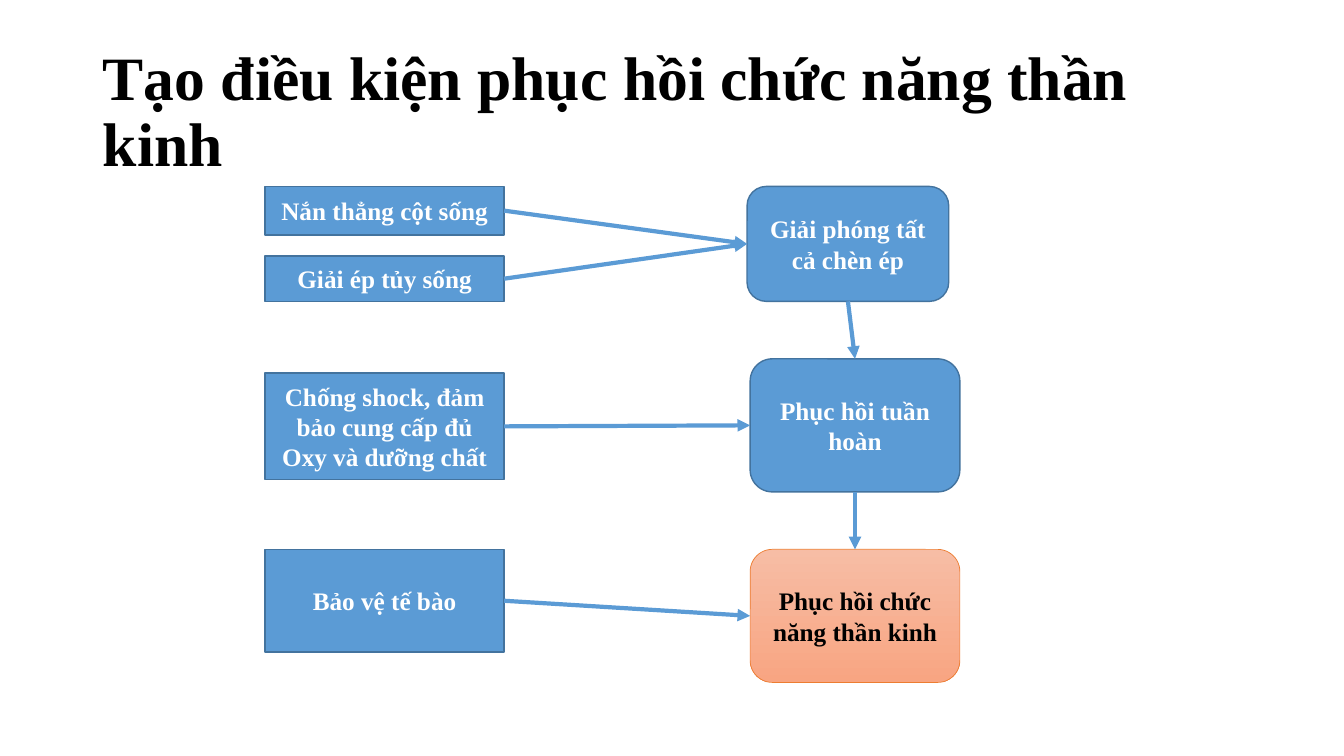
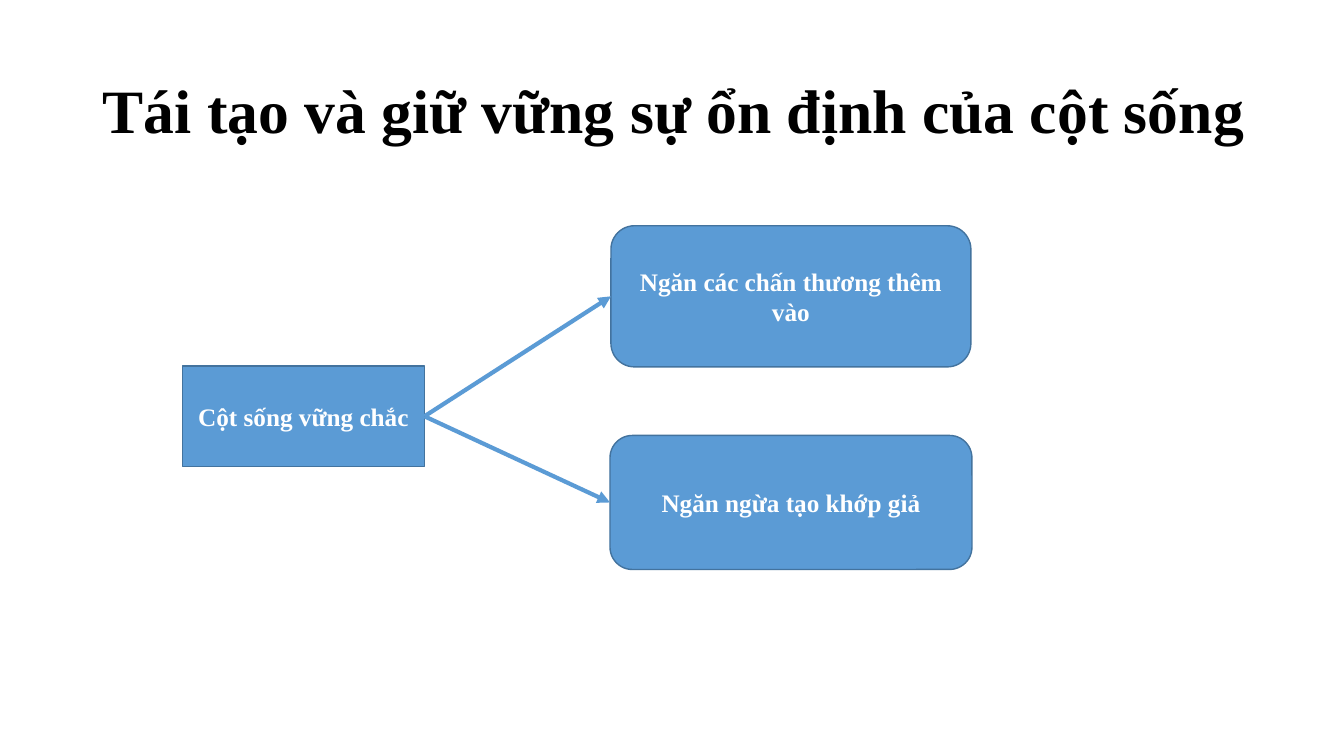
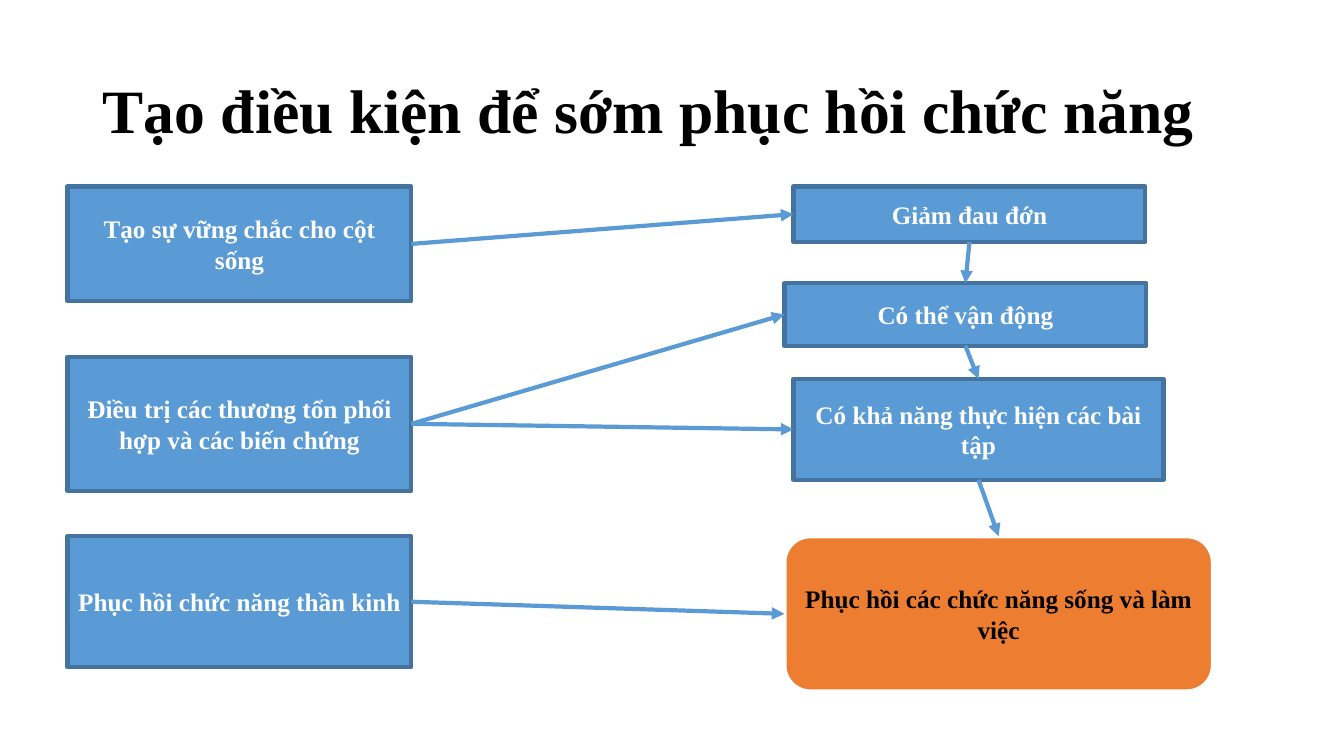
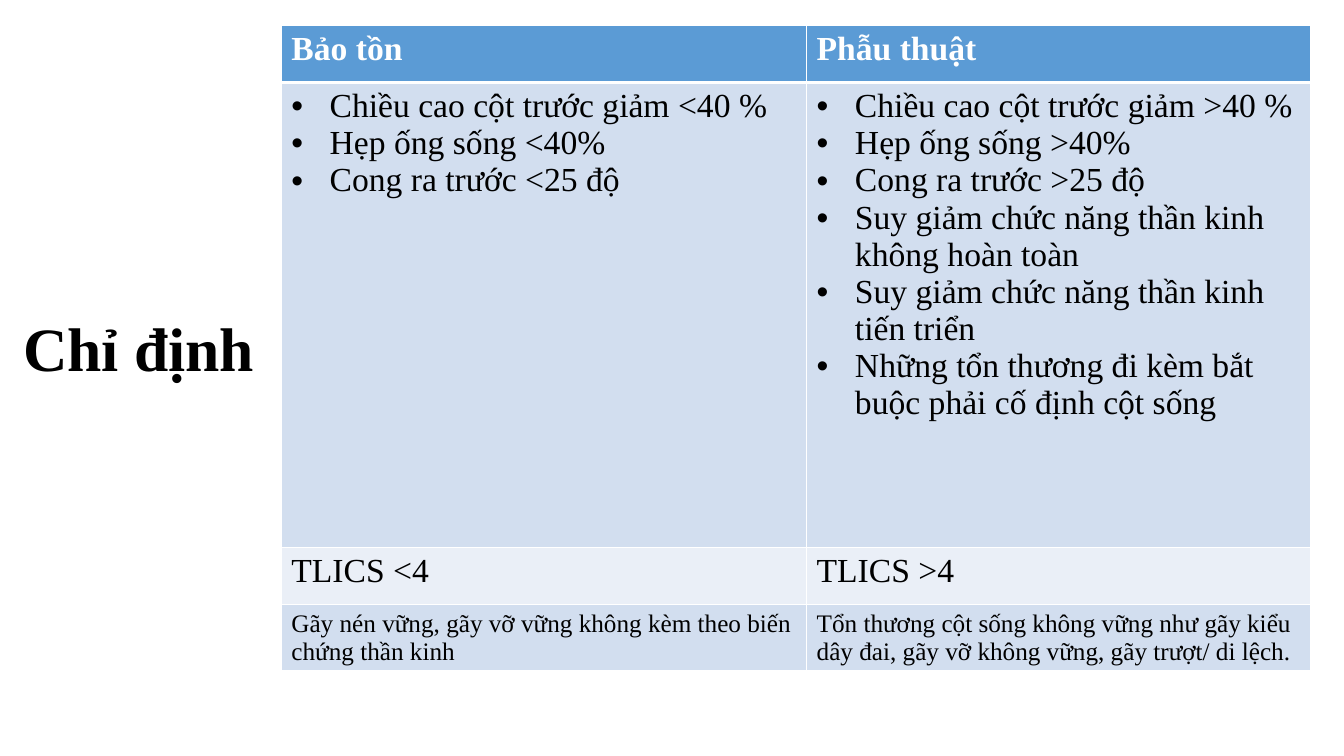
from dataclasses import dataclass
from typing import Any, NamedTuple

from lxml import etree
from pptx import Presentation
from pptx.dml.color import RGBColor
from pptx.enum.shapes import MSO_CONNECTOR, MSO_SHAPE
from pptx.enum.text import MSO_ANCHOR, MSO_AUTO_SIZE, PP_ALIGN
from pptx.oxml.ns import qn
from pptx.util import Inches, Pt

RECTANGLE = MSO_SHAPE.RECTANGLE
ROUNDED = MSO_SHAPE.ROUNDED_RECTANGLE
STRAIGHT = MSO_CONNECTOR.STRAIGHT
MIDDLE = MSO_ANCHOR.MIDDLE
NO_AUTOFIT = MSO_AUTO_SIZE.NONE
LEFT, CENTER = PP_ALIGN.LEFT, PP_ALIGN.CENTER
TOP_SIDE, LEFT_SIDE, BOTTOM_SIDE, RIGHT_SIDE = range(4)
TITLE_ONLY_LAYOUT = 5


@dataclass(frozen=True)
class Theme:
    font: str = "Times New Roman"
    white: str = "FFFFFF"
    black: str = "000000"
    blue: str = "5B9BD5"
    dark_blue: str = "43739E"
    orange: str = "ED7D31"
    peach: tuple[str, str] = ("F7BDA5", "F8A582")
    band_dark: str = "D2DEEF"
    band_light: str = "EAEFF7"
    title_size: int = 44
    table_size: int = 24
    text_size: int = 18
    arrow_width: int = 3


THEME = Theme()


class Area(NamedTuple):
    left: float
    top: float
    width: float
    height: float

    def lengths(self) -> list[int]:
        return [Inches(value) for value in self]


class BoxStyle(NamedTuple):
    fill: str | tuple[str, str]
    line: str
    line_width: float
    text: str


class Box(NamedTuple):
    text: str
    area: Area
    style: BoxStyle
    kind: Any = RECTANGLE


class Arrow(NamedTuple):
    start: str
    end: str
    start_side: int = RIGHT_SIDE
    end_side: int = LEFT_SIDE


class Diagram(NamedTuple):
    title: str
    title_area: Area
    boxes: dict[str, Box]
    arrows: list[Arrow]


class TableRow(NamedTuple):
    height: float
    fill: str
    cells: list[list[str]]
    size: int = THEME.table_size
    color: str = THEME.black
    bold: bool = False
    bulleted: bool = False
    top_border: int = 1
    bottom_border: int = 1


BLUE_THIN = BoxStyle(THEME.blue, THEME.dark_blue, 1, THEME.white)
BLUE_THICK = BLUE_THIN._replace(line_width=3)
PEACH = BoxStyle(THEME.peach, THEME.orange, 0.5, THEME.black)
ORANGE = BoxStyle(THEME.orange, THEME.white, 3, THEME.black)
TITLE_AREA = Area(0.92, 0.4, 11.5, 1.45)


def downward(*names: str) -> list[Arrow]:
    """Chain the named boxes from top to bottom."""
    return [Arrow(start, end, BOTTOM_SIDE, TOP_SIDE) for start, end in zip(names, names[1:])]


DIAGRAMS = [
    Diagram(
        "Tạo điều kiện phục hồi chức năng thần kinh",
        TITLE_AREA,
        {
            "release": Box("Giải phóng tất cả chèn ép", Area(7.41, 1.85, 2, 1.14), BLUE_THIN, ROUNDED),
            "circulation": Box("Phục hồi tuần hoàn", Area(7.44, 3.56, 2.08, 1.32), BLUE_THIN, ROUNDED),
            "nerves": Box("Phục hồi chức năng thần kinh", Area(7.44, 5.45, 2.08, 1.32), PEACH, ROUNDED),
            "straighten": Box("Nắn thẳng cột sống", Area(2.63, 1.85, 2.37, 0.48), BLUE_THIN),
            "decompress": Box("Giải ép tủy sống", Area(2.63, 2.54, 2.37, 0.45), BLUE_THIN),
            "supply": Box("Chống shock, đảm bảo cung cấp đủ Oxy và dưỡng chất",
                          Area(2.63, 3.7, 2.37, 1.06), BLUE_THIN),
            "protect": Box("Bảo vệ tế bào", Area(2.63, 5.45, 2.37, 1.02), BLUE_THIN),
        },
        [
            Arrow("straighten", "release"),
            Arrow("decompress", "release"),
            Arrow("supply", "circulation"),
            Arrow("protect", "nerves"),
            *downward("release", "circulation", "nerves"),
        ],
    ),
    Diagram(
        "Tái tạo và giữ vững sự ổn định của cột sống",
        TITLE_AREA._replace(width=12.21),
        {
            "stable": Box("Cột sống vững chắc", Area(1.81, 3.63, 2.4, 1), BLUE_THIN),
            "injury": Box("Ngăn các chấn thương thêm vào", Area(6.06, 2.24, 3.57, 1.4), BLUE_THIN, ROUNDED),
            "false_joint": Box("Ngăn ngừa tạo khớp giả", Area(6.05, 4.32, 3.59, 1.33), BLUE_THIN, ROUNDED),
        },
        [Arrow("stable", "injury"), Arrow("stable", "false_joint")],
    ),
    Diagram(
        "Tạo điều kiện để sớm phục hồi chức năng",
        TITLE_AREA,
        {
            "stabilise": Box("Tạo sự vững chắc cho cột sống", Area(0.67, 1.85, 3.41, 1.14), BLUE_THICK),
            "treat": Box("Điều trị các thương tổn phối hợp và các biến chứng",
                         Area(0.67, 3.54, 3.41, 1.33), BLUE_THICK),
            "nerves": Box("Phục hồi chức năng thần kinh", Area(0.67, 5.32, 3.41, 1.3), BLUE_THICK),
            "less_pain": Box("Giảm đau đớn", Area(7.87, 1.85, 3.49, 0.55), BLUE_THICK),
            "movement": Box("Có thể vận động", Area(7.78, 2.81, 3.59, 0.62), BLUE_THICK),
            "exercise": Box("Có khả năng thực hiện các bài tập", Area(7.87, 3.76, 3.67, 1), BLUE_THICK),
            "daily_life": Box("Phục hồi các chức năng sống và làm việc",
                              Area(7.78, 5.32, 4.25, 1.54), ORANGE, ROUNDED),
        },
        [
            Arrow("nerves", "daily_life"),
            Arrow("treat", "movement"),
            Arrow("treat", "exercise"),
            Arrow("stabilise", "less_pain"),
            *downward("less_pain", "movement", "exercise", "daily_life"),
        ],
    ),
]

TABLE_AREA = Area(2.79, 0.25, 10.21, 6.45)
COLUMN_WIDTHS = [5.21, 5]
TABLE_ROWS = [
    TableRow(0.57, THEME.blue, [["Bảo tồn"], ["Phẫu thuật"]],
             color=THEME.white, bold=True, bottom_border=3),
    TableRow(
        4.61,
        THEME.band_dark,
        [
            ["Chiều cao cột trước giảm <40 %", "Hẹp ống sống <40%", "Cong ra trước <25 độ"],
            [
                "Chiều cao cột trước giảm >40 %",
                "Hẹp ống sống >40%",
                "Cong ra trước >25 độ",
                "Suy giảm chức năng thần kinh không hoàn toàn",
                "Suy giảm chức năng thần kinh tiến triển",
                "Những tổn thương đi kèm bắt buộc phải cố định cột sống",
            ],
        ],
        bulleted=True,
        top_border=3,
    ),
    TableRow(0.57, THEME.band_light, [["TLICS <4"], ["TLICS >4"]]),
    TableRow(
        0.46,
        THEME.band_dark,
        [
            ["Gãy nén vững, gãy vỡ vững không kèm theo biến chứng thần kinh"],
            ["Tổn thương cột sống không vững như gãy kiểu dây đai, gãy vỡ không vững, gãy trượt/ di lệch."],
        ],
        size=THEME.text_size,
    ),
]


def set_attributes(target: Any, values: dict[str, Any]) -> None:
    for name, value in values.items():
        setattr(target, name, value)


def set_font(font: Any, size: int, color: str, bold: bool = True) -> None:
    set_attributes(font, {"name": THEME.font, "size": Pt(size), "bold": bold})
    font.color.rgb = RGBColor.from_string(color)


def set_solid(fill: Any, color: str) -> None:
    fill.solid()
    fill.fore_color.rgb = RGBColor.from_string(color)


def add_titled_slide(presentation: Any, text: str, area: Area) -> Any:
    slide = presentation.slides.add_slide(presentation.slide_layouts[TITLE_ONLY_LAYOUT])
    title = slide.shapes.title
    set_attributes(title, dict(zip(("left", "top", "width", "height"), area.lengths())))
    frame = title.text_frame
    frame.text = text
    set_attributes(frame, {"auto_size": NO_AUTOFIT, "vertical_anchor": MIDDLE, "word_wrap": True})
    paragraph = frame.paragraphs[0]
    set_attributes(paragraph, {"alignment": LEFT, "line_spacing": 0.9})
    set_font(paragraph.font, THEME.title_size, THEME.black)
    return slide


def add_box(slide: Any, box: Box) -> Any:
    shape = slide.shapes.add_shape(box.kind, *box.area.lengths())
    shape.shadow.inherit = False
    style = box.style
    if isinstance(style.fill, str):
        set_solid(shape.fill, style.fill)
    else:
        shape.fill.gradient()
        shape.fill.gradient_angle = 270
        for stop, color in zip(shape.fill.gradient_stops, style.fill):
            stop.color.rgb = RGBColor.from_string(color)
    shape.line.color.rgb = RGBColor.from_string(style.line)
    shape.line.width = Pt(style.line_width)
    frame = shape.text_frame
    frame.text = box.text
    set_attributes(frame, {"word_wrap": True, "vertical_anchor": MIDDLE})
    paragraph = frame.paragraphs[0]
    paragraph.alignment = CENTER
    set_font(paragraph.font, THEME.text_size, style.text)
    return shape


def add_arrow(slide: Any, shapes: dict[str, Any], arrow: Arrow) -> None:
    connector = slide.shapes.add_connector(STRAIGHT, 0, 0, 0, 0)
    connector.begin_connect(shapes[arrow.start], arrow.start_side)
    connector.end_connect(shapes[arrow.end], arrow.end_side)
    connector.line.color.rgb = RGBColor.from_string(THEME.blue)
    connector.line.width = Pt(THEME.arrow_width)
    properties = connector.element.spPr
    etree.SubElement(properties.find(qn("a:ln")), qn("a:tailEnd"), type="triangle")
    etree.SubElement(properties, qn("a:effectLst"))


def add_diagram(presentation: Any, diagram: Diagram) -> None:
    slide = add_titled_slide(presentation, diagram.title, diagram.title_area)
    shapes = {name: add_box(slide, box) for name, box in diagram.boxes.items()}
    for arrow in diagram.arrows:
        add_arrow(slide, shapes, arrow)


def set_borders(cell: Any, row: TableRow) -> None:
    """Draw white cell borders; they must precede the fill in the cell properties."""
    properties = cell._tc.get_or_add_tcPr()
    widths = {"lnL": 1, "lnR": 1, "lnT": row.top_border, "lnB": row.bottom_border}
    for position, (tag, width) in enumerate(widths.items()):
        border = etree.Element(qn(f"a:{tag}"), w=str(Pt(width)))
        solid = etree.SubElement(border, qn("a:solidFill"))
        etree.SubElement(solid, qn("a:srgbClr"), val=THEME.white)
        properties.insert(position, border)


def add_bullet(paragraph: Any) -> None:
    properties = paragraph._p.get_or_add_pPr()
    indent = Inches(0.38)
    properties.set("marL", str(indent))
    properties.set("indent", str(-indent))
    etree.SubElement(properties, qn("a:buFont"), typeface="Arial")
    etree.SubElement(properties, qn("a:buChar"), char="•")


def fill_cell(cell: Any, lines: list[str], row: TableRow) -> None:
    set_solid(cell.fill, row.fill)
    set_borders(cell, row)
    cell.text_frame.text = "\n".join(lines)
    for paragraph in cell.text_frame.paragraphs:
        if row.bulleted:
            add_bullet(paragraph)
        set_font(paragraph.font, row.size, row.color, row.bold)


def add_indications(presentation: Any) -> None:
    slide = add_titled_slide(presentation, "Chỉ định", Area(0.13, 3.05, 2.67, 0.88))
    frame = slide.shapes.add_table(len(TABLE_ROWS), len(COLUMN_WIDTHS), *TABLE_AREA.lengths())
    table = frame.table
    for column, width in zip(table.columns, COLUMN_WIDTHS):
        column.width = Inches(width)
    for table_row, row in zip(table.rows, TABLE_ROWS):
        table_row.height = Inches(row.height)
        for cell, lines in zip(table_row.cells, row.cells):
            fill_cell(cell, lines, row)


def main() -> None:
    presentation = Presentation()
    presentation.slide_width = Inches(13.33)
    presentation.slide_height = Inches(7.5)
    for diagram in DIAGRAMS:
        add_diagram(presentation, diagram)
    add_indications(presentation)
    presentation.save("out.pptx")


if __name__ == "__main__":
    main()
